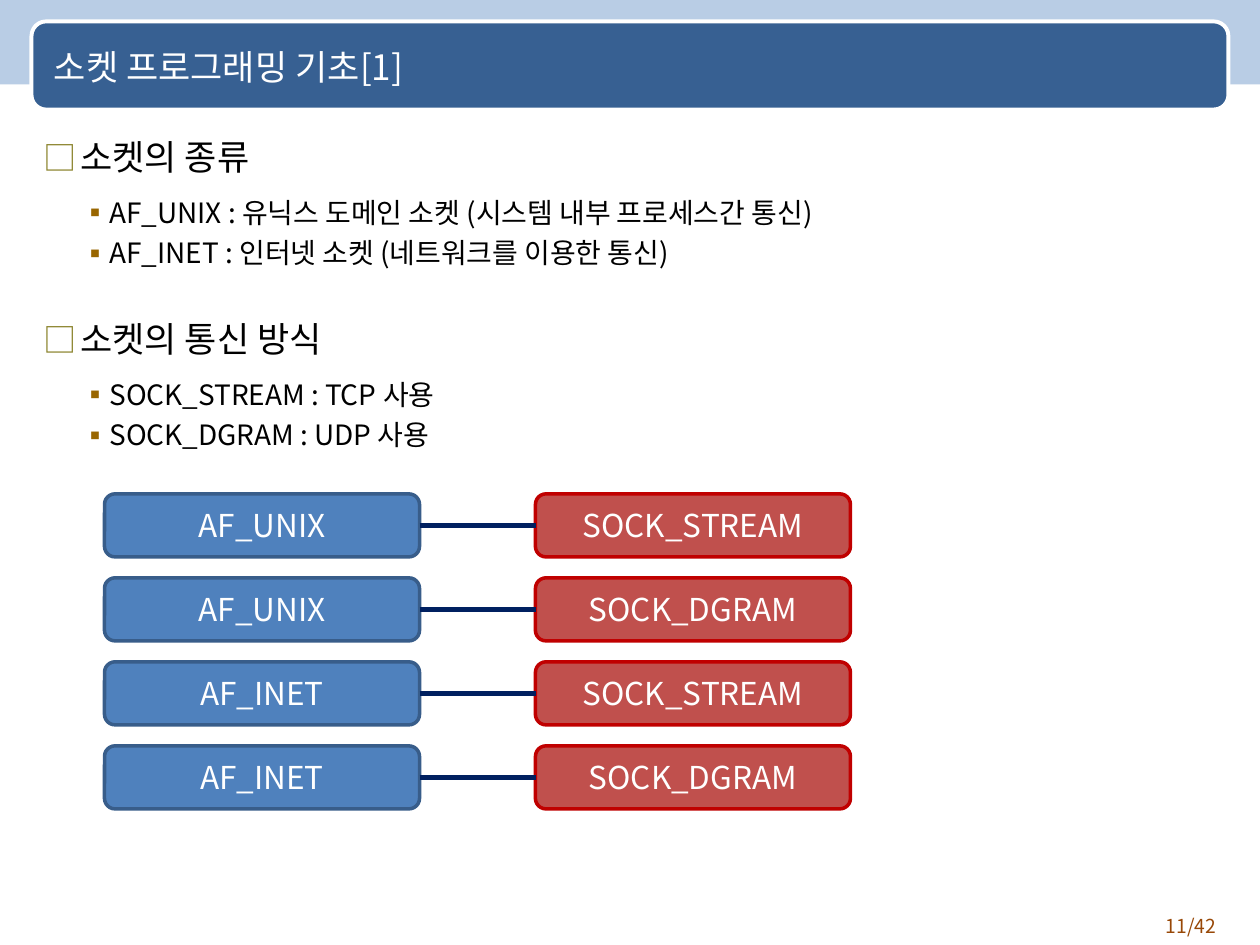
from dataclasses import dataclass

from lxml import etree
from pptx import Presentation
from pptx.dml.color import RGBColor
from pptx.enum import shapes, text
from pptx.oxml import ns
from pptx.util import Inches, Pt


@dataclass(frozen=True)
class Theme:
    font: str = "Noto Sans CJK KR"
    band: str = "B9CDE5"
    title_bar: str = "376092"
    white: str = "FFFFFF"
    black: str = "000000"
    page: str = "984807"
    link: str = "002060"
    heading_size: int = 20
    item_size: int = 16
    box_size: int = 18
    page_size: int = 11


THEME = Theme()
TITLE = "소켓 프로그래밍 기초[1]"
PAGE = "11/42"
SECTIONS = [
    ("소켓의 종류", [
        "AF_UNIX : 유닉스 도메인 소켓 (시스템 내부 프로세스간 통신)",
        "AF_INET : 인터넷 소켓 (네트워크를 이용한 통신)",
    ]),
    ("소켓의 통신 방식", [
        "SOCK_STREAM : TCP 사용",
        "SOCK_DGRAM : UDP 사용",
    ]),
]
DOMAINS = ["AF_UNIX", "AF_INET"]
TYPES = ["SOCK_STREAM", "SOCK_DGRAM"]
PAIRS = [(domain, kind) for domain in DOMAINS for kind in TYPES]
# left edge, fill, outline of the two columns
COLUMNS = [(0.83, "4F81BD", "385D8A"), (4.25, "C0504D", "C00000")]
BOX_WIDTH, BOX_HEIGHT = 2.5, 0.5
FIRST_ROW, ROW_STEP = 3.92, 2 / 3

# marker, marker colour, marker size %, left margin, hanging indent
HEADING_BULLET = ("□", "888128", 95, 0.29, 0.29)
ITEM_BULLET = ("▪", "996600", 100, 0.49, 0.19)


def color(value):
    return RGBColor.from_string(value)


def add_run(paragraph, words, size, ink):
    run = paragraph.add_run()
    run.text = words
    run.font.name = THEME.font
    run.font.size = Pt(size)
    run.font.color.rgb = color(ink)
    east_asian = etree.SubElement(run.font._element, ns.qn("a:ea"))
    east_asian.set("typeface", THEME.font)


def add_box(parent, preset, place, fill, line=None, width=0):
    shape = parent.add_shape(preset, *map(Inches, place))
    shape.shadow.inherit = False
    shape.fill.solid()
    shape.fill.fore_color.rgb = color(fill)
    if line:
        shape.line.color.rgb = color(line)
        shape.line.width = Pt(width)
    else:
        shape.line.fill.background()
    return shape


def add_text_frame(slide, place, anchor=text.MSO_ANCHOR.TOP):
    frame = slide.shapes.add_textbox(*map(Inches, place)).text_frame
    frame.word_wrap = True
    frame.vertical_anchor = anchor
    return frame


def set_bullet(paragraph, marker, ink, percent, margin, hanging):
    properties = paragraph._p.get_or_add_pPr()
    properties.set("marL", str(Inches(margin)))
    properties.set("indent", str(-Inches(hanging)))
    marker_color = etree.SubElement(properties, ns.qn("a:buClr"))
    etree.SubElement(marker_color, ns.qn("a:srgbClr")).set("val", ink)
    for tag, name, value in [
        ("a:buSzPct", "val", str(percent * 1000)),
        ("a:buFont", "typeface", THEME.font),
        ("a:buChar", "char", marker),
    ]:
        etree.SubElement(properties, ns.qn(tag)).set(name, value)


def add_sections(frame):
    paragraph = frame.paragraphs[0]
    for number, (heading, items) in enumerate(SECTIONS):
        if number:
            paragraph = frame.add_paragraph()
            paragraph.space_before = Pt(27)
        set_bullet(paragraph, *HEADING_BULLET)
        paragraph.space_after = Pt(6)
        paragraph.line_spacing = Pt(24.2)
        add_run(paragraph, heading, THEME.heading_size, THEME.black)
        for item in items:
            paragraph = frame.add_paragraph()
            set_bullet(paragraph, *ITEM_BULLET)
            paragraph.level = 1
            paragraph.space_before = Pt(4)
            paragraph.line_spacing = Pt(19.4)
            add_run(paragraph, item, THEME.item_size, THEME.black)


def add_link(parent, start, end):
    """Join the right side of one box to the left side of another."""
    link = parent.add_connector(shapes.MSO_CONNECTOR.STRAIGHT, 0, 0, 0, 0)
    link.begin_connect(start, 3)
    link.end_connect(end, 1)
    link.line.color.rgb = color(THEME.link)
    link.line.width = Pt(3)
    etree.SubElement(link._element.spPr, ns.qn("a:effectLst"))


def add_pairs(slide):
    group = slide.shapes.add_group_shape().shapes
    for row, pair in enumerate(PAIRS):
        boxes = []
        for label, (left, fill, line) in zip(pair, COLUMNS):
            place = (left, FIRST_ROW + row * ROW_STEP, BOX_WIDTH, BOX_HEIGHT)
            box = add_box(group, shapes.MSO_SHAPE.ROUNDED_RECTANGLE, place, fill, line, 2)
            box.text_frame.vertical_anchor = text.MSO_ANCHOR.MIDDLE
            paragraph = box.text_frame.paragraphs[0]
            paragraph.alignment = text.PP_ALIGN.CENTER
            add_run(paragraph, label, THEME.box_size, THEME.white)
            boxes.append(box)
        add_link(group, *boxes)


def main():
    presentation = Presentation()
    presentation.slide_width, presentation.slide_height = Inches(10), Inches(7.5)
    slide = presentation.slides.add_slide(presentation.slide_layouts[6])

    add_box(slide.shapes, shapes.MSO_SHAPE.RECTANGLE, (-0.01, 0, 10.02, 0.67), THEME.band)
    add_box(slide.shapes, shapes.MSO_SHAPE.ROUNDED_RECTANGLE, (0.25, 0.17, 9.5, 0.7),
            THEME.title_bar, THEME.white, 2.25)

    page = add_text_frame(slide, (8.92, 7.21, 0.83, 0.29)).paragraphs[0]
    page.alignment = text.PP_ALIGN.RIGHT
    add_run(page, PAGE, THEME.page_size, THEME.page)

    title = add_text_frame(slide, (0.33, 0.19, 9.25, 0.67), text.MSO_ANCHOR.MIDDLE)
    add_run(title.paragraphs[0], TITLE, THEME.heading_size, THEME.white)

    body = add_text_frame(slide, (0.25, 1, 9.5, 6.25))
    body.margin_top = Inches(0.07)
    add_sections(body)
    add_pairs(slide)
    presentation.save("out.pptx")


if __name__ == "__main__":
    main()
